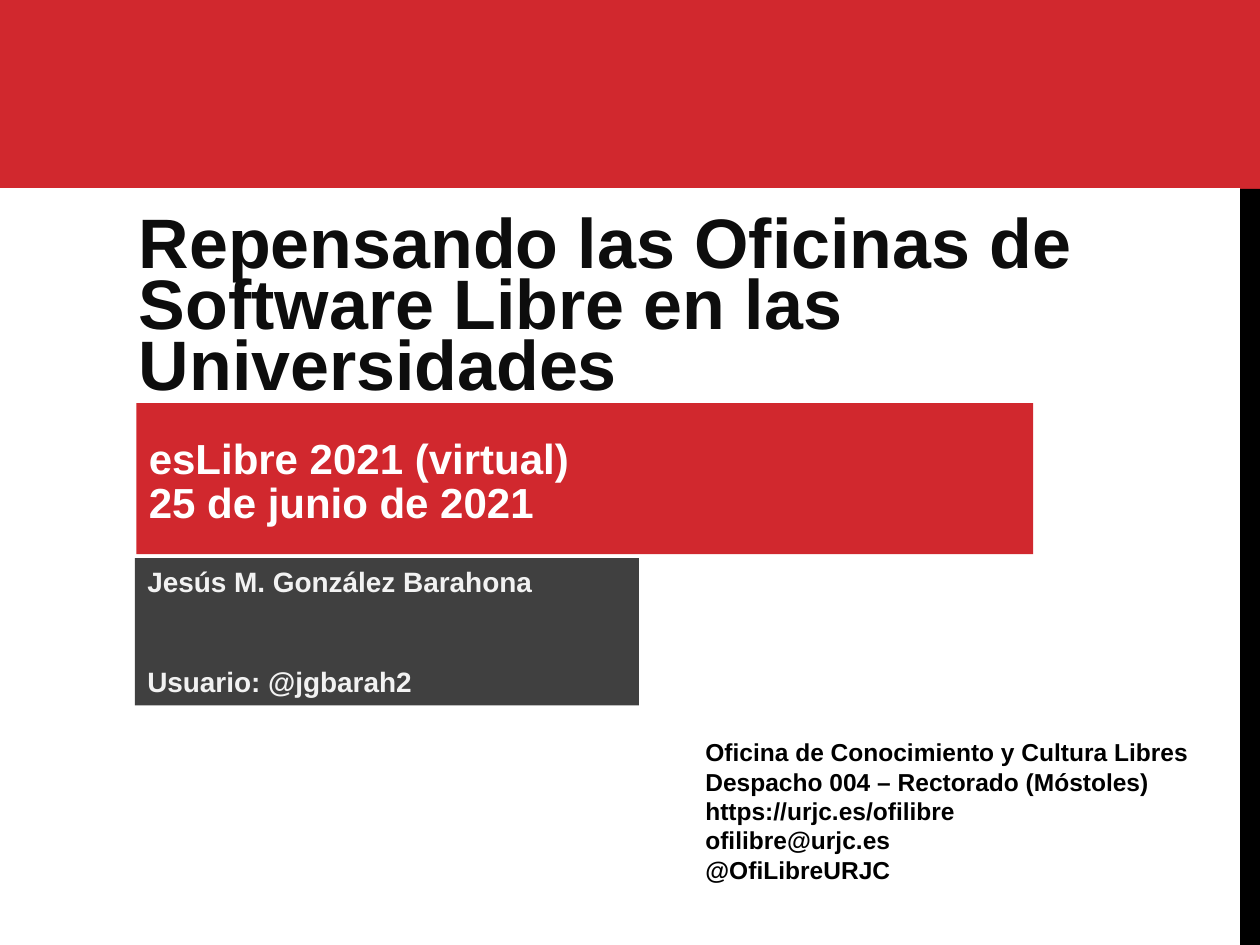
from dataclasses import dataclass

import pptx
import pptx.dml.color
import pptx.enum.shapes
import pptx.enum.text
import pptx.util

Cm = pptx.util.Cm
Pt = pptx.util.Pt
RGBColor = pptx.dml.color.RGBColor
MSO_ANCHOR = pptx.enum.text.MSO_ANCHOR
MSO_SHAPE = pptx.enum.shapes.MSO_SHAPE

RED = RGBColor(0xD1, 0x28, 0x2E)
BLACK = RGBColor(0x00, 0x00, 0x00)
INK = RGBColor(0x0D, 0x0D, 0x0D)
DARK_GREY = RGBColor(0x40, 0x40, 0x40)
LIGHT_GREY = RGBColor(0xF2, 0xF2, 0xF2)
WHITE = RGBColor(0xFF, 0xFF, 0xFF)


@dataclass
class Box:
    """A rectangle in centimetres, filled or not, with optional text."""
    left: float
    top: float
    width: float
    height: float
    fill: RGBColor | None = None
    lines: tuple[str, ...] = ()
    size: float = 18
    color: RGBColor = BLACK
    anchor: MSO_ANCHOR = MSO_ANCHOR.TOP
    inset_top: float = 0.13
    line_spacing: float | pptx.util.Length | None = None
    gap: float = 0  # points between paragraphs


def write_lines(tf: pptx.text.text.TextFrame, box: Box) -> None:
    tf.word_wrap = True
    tf.vertical_anchor = box.anchor
    tf.margin_top = Cm(box.inset_top)
    tf.text = "\n".join(box.lines)
    for i, p in enumerate(tf.paragraphs):
        p.alignment = pptx.enum.text.PP_ALIGN.LEFT
        p.space_before = Pt(box.gap if i else 0)
        if box.line_spacing is not None:
            p.line_spacing = box.line_spacing
        for r in p.runs:
            r.font.name = "Arial"
            r.font.size = Pt(box.size)
            r.font.bold = True
            r.font.color.rgb = box.color


def draw_box(s: pptx.slide.Slide, box: Box) -> None:
    frame = [Cm(v) for v in (box.left, box.top, box.width, box.height)]
    if box.fill is None:
        sp = s.shapes.add_textbox(*frame)
    else:
        sp = s.shapes.add_shape(MSO_SHAPE.RECTANGLE, *frame)
        sp.shadow.inherit = False
        sp.fill.solid()
        sp.fill.fore_color.rgb = box.fill
        sp.line.fill.background()
    if box.lines:
        write_lines(sp.text_frame, box)


BOXES = (
    # Side strip and top band
    Box(25, 0, 0.4, 3.81, RED),
    Box(25, 3.81, 0.4, 15.24, BLACK),
    Box(0, 0, 25.4, 3.79, RED),
    # Contact details
    Box(13.97, 14.73, 10.52, 3.28, size=14, lines=(
        "Oficina de Conocimiento y Cultura Libres",
        "Despacho 004 – Rectorado (Móstoles)",
        "https://urjc.es/ofilibre",
        "ofilibre@urjc.es",
        "@OfiLibreURJC",
    )),
    # Speaker
    Box(2.72, 11.25, 10.16, 2.97, DARK_GREY,
        ("Jesús M. González Barahona", "Usuario: @jgbarah2"),
        size=16, color=LIGHT_GREY, gap=38),
    # Title
    Box(2.55, 3.68, 20.85, 4.57,
        lines=("Repensando las Oficinas de Software Libre en las Universidades",),
        size=40, color=INK, anchor=MSO_ANCHOR.BOTTOM, line_spacing=0.73),
    # Event and date
    Box(2.75, 8.13, 18.08, 3.04, RED,
        ("esLibre 2021 (virtual)", "25 de junio de 2021"),
        size=24, color=WHITE, inset_top=1.03, line_spacing=Pt(16.1), gap=9.5),
)


def main() -> None:
    prs = pptx.Presentation()
    prs.slide_width, prs.slide_height = Cm(25.4), Cm(19.05)
    s = prs.slides.add_slide(prs.slide_layouts[6])
    for box in BOXES:
        draw_box(s, box)
    prs.save("out.pptx")


if __name__ == "__main__":
    main()
